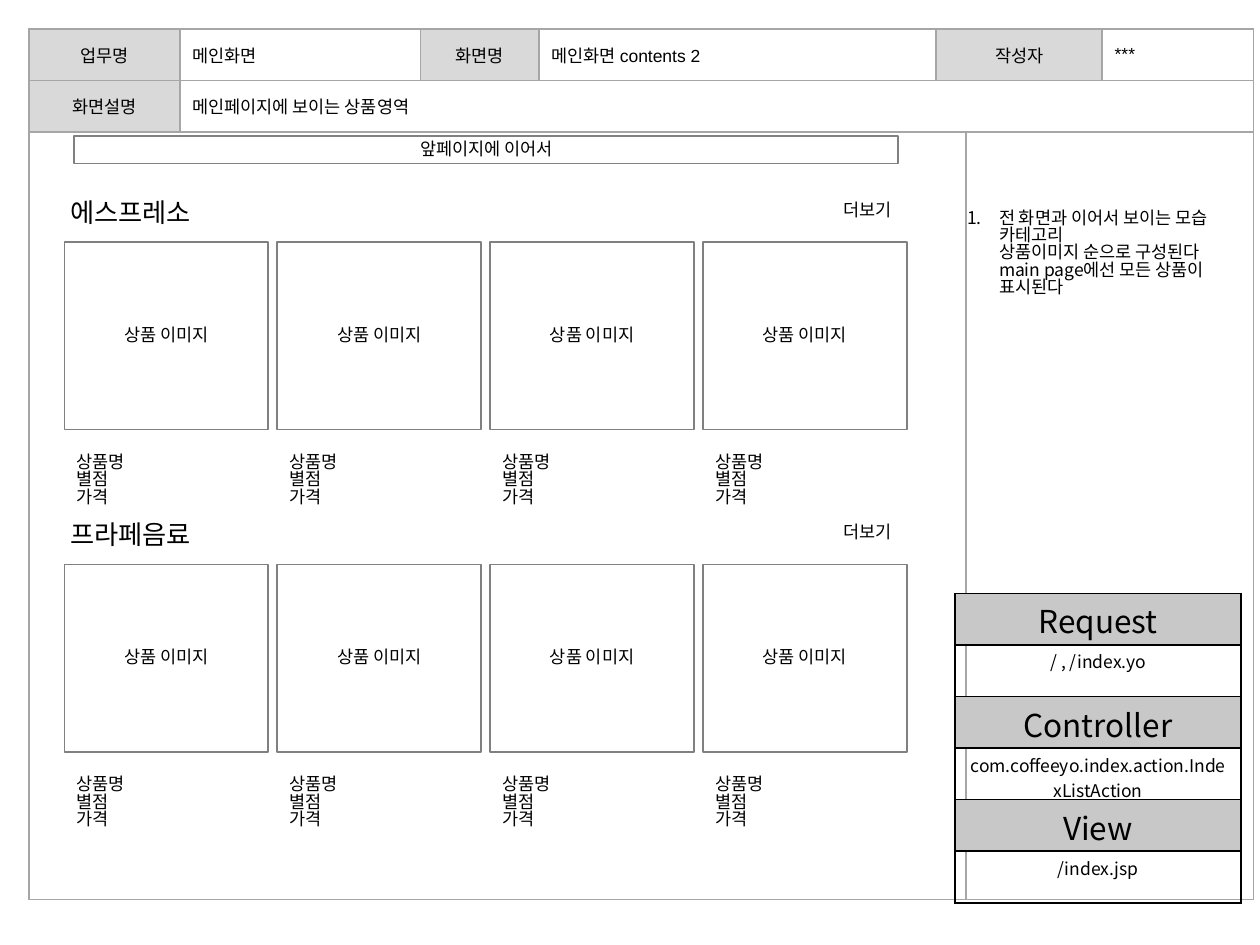
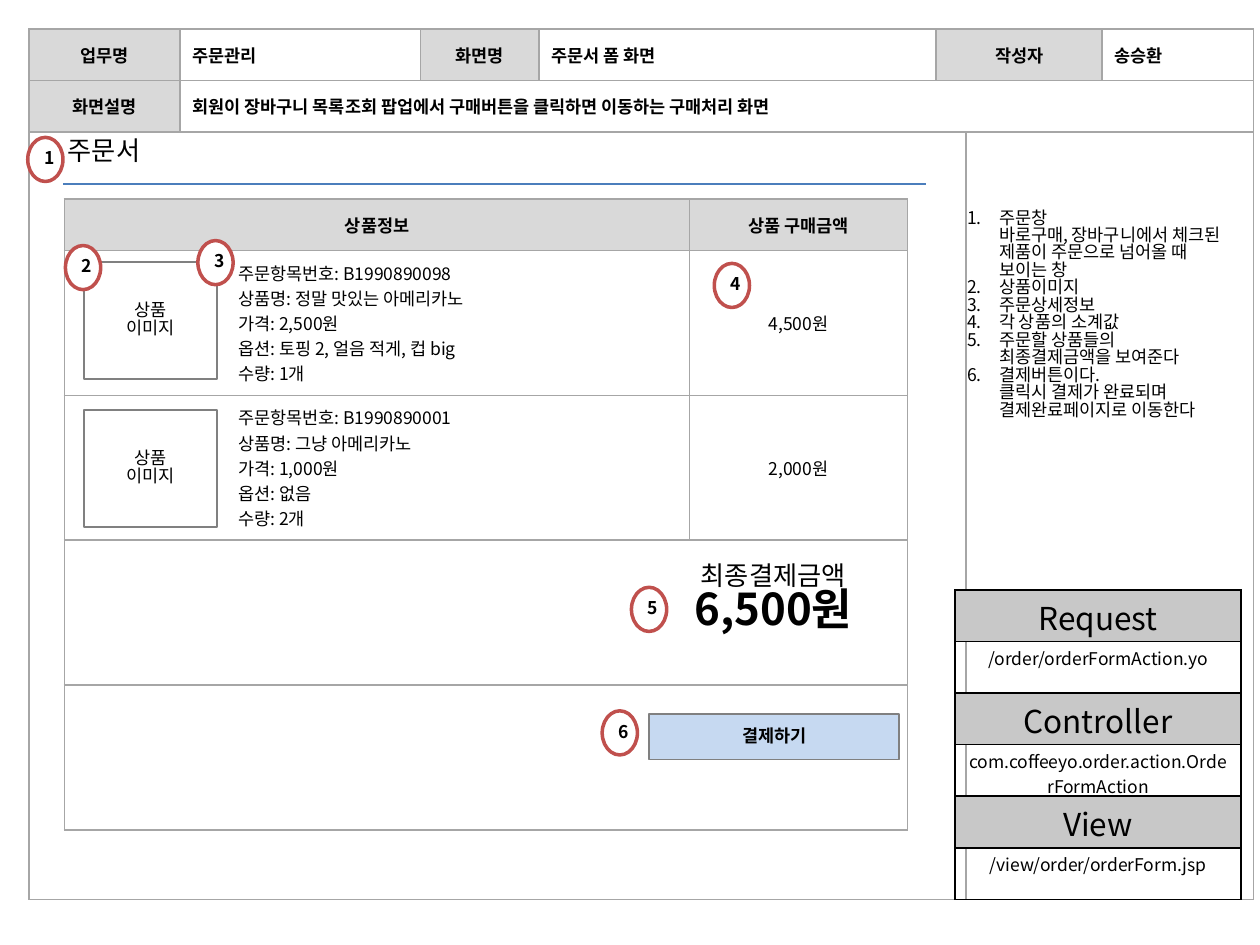
from dataclasses import dataclass
from typing import NamedTuple

from lxml.etree import SubElement
from pptx import Presentation
from pptx.dml.color import RGBColor
from pptx.enum.shapes import MSO_CONNECTOR, MSO_SHAPE
from pptx.enum.text import MSO_ANCHOR, PP_ALIGN
from pptx.oxml.ns import qn
from pptx.util import Cm, Pt

COLORS = {
    "text": "000000",
    "white": "FFFFFF",
    "label": "D9D9D9",
    "grid": "A6A6A6",
    "outline": "808080",
    "route": "C8C8C8",
    "button": "C6D9F1",
    "rule": "4B7EBC",
    "badge": "C0504D",
}
SANS = "Noto Sans CJK KR"
LINE_SPACING = 0.83
CONTENT_LEFT = 1.3
SIDE_LEFT = 19.25
SIDE_WIDTH = 5.77
HEAD_HEIGHT = 1.04


class Area(NamedTuple):
    left: float
    top: float
    width: float
    height: float

    def lengths(self):
        return [Cm(v) for v in self]


@dataclass(frozen=True)
class Style:
    size: float = 10
    bold: bool = False
    font: str = SANS
    align: PP_ALIGN = PP_ALIGN.LEFT
    indent: float = 0
    hanging: float = 0
    numbered: bool = False
    spacing: float = 1.0


@dataclass(frozen=True)
class Screen:
    task: str
    name: str
    author: str
    description: str
    remarks: tuple[str, ...]
    remarks_height: float
    routes: tuple[str, str, str]
    routes_top: float
    bold: bool = False


class Section(NamedTuple):
    title: str
    top: float


class OrderItem(NamedTuple):
    details: tuple[str, ...]
    price: str
    image_top: float


class Badge(NamedTuple):
    label: str
    left: float
    top: float


BODY = Style(spacing=LINE_SPACING)
CENTERED = Style(align=PP_ALIGN.CENTER, spacing=LINE_SPACING)
STRONG = Style(bold=True, align=PP_ALIGN.CENTER, spacing=LINE_SPACING)
HEADING = Style(size=15, spacing=LINE_SPACING)
REMARK = Style(indent=0.64, hanging=-0.64, numbered=True, spacing=LINE_SPACING)

MAIN_SCREEN = Screen(
    "메인화면", "메인화면 contents 2", "***", "메인페이지에 보이는 상품영역",
    ("전 화면과 이어서 보이는 모습\n카테고리\n상품이미지 순으로 구성된다\n"
     "main page에선 모든 상품이 표시된다",),
    2.82,
    ("/ , /index.yo", "com.coffeeyo.index.action.IndexListAction", "/index.jsp"),
    11.96,
)
ORDER_SCREEN = Screen(
    "주문관리", "주문서 폼 화면", "송승환",
    "회원이 장바구니 목록조회 팝업에서 구매버튼을 클릭하면 이동하는 구매처리 화면",
    ("주문창\n바로구매, 장바구니에서 체크된 제품이 주문으로 넘어올 때 보이는 창",
     "상품이미지", "주문상세정보", "각 상품의 소계값",
     "주문할 상품들의 최종결제금액을 보여준다",
     "결제버튼이다.\n클릭시 결제가 완료되며 결제완료페이지로 이동한다"),
    5.74,
    ("/order/orderFormAction.yo", "com.coffeeyo.order.action.OrderFormAction",
     "/view/order/orderForm.jsp"),
    11.89, bold=True,
)
SECTIONS = (Section("에스프레소", 4.88), Section("프라페음료", 11.38))
ITEMS = (
    OrderItem(("주문항목번호: B1990890098", "상품명: 정말 맛있는 아메리카노", "가격: 2,500원",
               "옵션: 토핑 2, 얼음 적게, 컵 big", "수량: 1개"), "4,500원", 5.28),
    OrderItem(("주문항목번호: B1990890001", "상품명: 그냥 아메리카노", "가격: 1,000원",
               "옵션: 없음", "수량: 2개"), "2,000원", 8.26),
)
BADGES = (
    Badge("1", 0.56, 2.77), Badge("2", 1.32, 4.95), Badge("3", 3.99, 4.85),
    Badge("4", 14.4, 5.31), Badge("5", 12.73, 11.84), Badge("6", 12.14, 14.33),
)


def rgb(name: str) -> RGBColor:
    return RGBColor.from_string(COLORS[name])


def add_run(p, text: str, style: Style) -> None:
    r = p.add_run()
    r.text = text
    r.font.size = Pt(style.size)
    r.font.bold = style.bold
    r.font.name = style.font
    r.font.color.rgb = rgb("text")
    SubElement(r._r.get_or_add_rPr(), qn("a:ea"), typeface=SANS)


def write(tf, lines: tuple[str, ...], *styles: Style) -> None:
    for i, line in enumerate(lines):
        style = styles[min(i, len(styles) - 1)]
        p = tf.paragraphs[0] if i == 0 else tf.add_paragraph()
        p.alignment = style.align
        p.line_spacing = style.spacing
        pPr = p._p.get_or_add_pPr()
        pPr.set("marL", str(Cm(style.indent)))
        pPr.set("indent", str(Cm(style.hanging)))
        if style.numbered:
            SubElement(pPr, qn("a:buFont"), typeface="+mj-lt")
            SubElement(pPr, qn("a:buAutoNum"), type="arabicPeriod")
        for j, part in enumerate(line.split("\n")):
            if j:
                p.add_line_break()
            add_run(p, part, style)


def add_text(s, area: Area, lines: tuple[str, ...], *styles: Style, wrap: bool = False) -> None:
    tf = s.shapes.add_textbox(*area.lengths()).text_frame
    tf.word_wrap = wrap
    write(tf, lines, *styles)


def add_box(s, area: Area, lines: tuple[str, ...], style: Style = CENTERED,
            fill: str = "white", line: str | None = "outline", weight: float = 1,
            kind: MSO_SHAPE = MSO_SHAPE.RECTANGLE):
    sp = s.shapes.add_shape(kind, *area.lengths())
    sp.shadow.inherit = False
    sp.fill.solid()
    sp.fill.fore_color.rgb = rgb(fill)
    if line:
        sp.line.color.rgb = rgb(line)
        sp.line.width = Pt(weight)
    else:
        sp.line.fill.background()
    sp.text_frame.vertical_anchor = MSO_ANCHOR.MIDDLE
    write(sp.text_frame, lines, style)
    return sp


def add_badge(s, badge: Badge) -> None:
    sp = add_box(s, Area(badge.left, badge.top, 0.71, 0.89), (badge.label,), STRONG,
                 line="badge", weight=2, kind=MSO_SHAPE.OVAL)
    tf = sp.text_frame
    tf.word_wrap = False
    tf.margin_left, tf.margin_right = Cm(0.16), Cm(0)
    tf.margin_top = tf.margin_bottom = Cm(0)


def add_grid(s, left: float, top: float, cols: list[float], rows: list[float], border: str):
    area = Area(left, top, sum(cols), sum(rows))
    tbl = s.shapes.add_table(len(rows), len(cols), *area.lengths()).table
    tbl.first_row = tbl.horz_banding = False
    for col, width in zip(tbl.columns, cols):
        col.width = Cm(width)
    for row, height in zip(tbl.rows, rows):
        row.height = Cm(height)
    for cell in tbl.iter_cells():
        cell.fill.background()
        tcPr = cell._tc.get_or_add_tcPr()
        for i, side in enumerate(("lnL", "lnR", "lnT", "lnB")):
            ln = SubElement(tcPr, qn(f"a:{side}"), w=str(Pt(1)))
            SubElement(SubElement(ln, qn("a:solidFill")), qn("a:srgbClr"), val=COLORS[border])
            tcPr.insert(i, ln)
    return tbl


def fill_cell(cell, lines: tuple[str, ...], style: Style, fill: str | None = None,
              anchor: MSO_ANCHOR = MSO_ANCHOR.MIDDLE) -> None:
    if fill:
        cell.fill.solid()
        cell.fill.fore_color.rgb = rgb(fill)
    cell.vertical_anchor = anchor
    write(cell.text_frame, lines, style)


def add_frame(s, screen: Screen) -> None:
    tbl = add_grid(s, 0.58, 0.58, [3.05, 4.85, 2.39, 8.0, 0.33, 2.74, 3.05],
                   [HEAD_HEIGHT, HEAD_HEIGHT, 15.47], "grid")
    for row, first, last in ((0, 4, 5), (1, 1, 6), (2, 0, 4), (2, 5, 6)):
        tbl.cell(row, first).merge(tbl.cell(row, last))
    label = Style(font="Arial", bold=screen.bold, align=PP_ALIGN.CENTER)
    value = Style(font="Arial", bold=screen.bold)
    fields = ((0, 0, 1, "업무명", screen.task), (0, 2, 3, "화면명", screen.name),
              (0, 4, 6, "작성자", screen.author), (1, 0, 1, "화면설명", screen.description))
    for row, label_col, value_col, caption, text in fields:
        fill_cell(tbl.cell(row, label_col), (caption,), label, "label")
        fill_cell(tbl.cell(row, value_col), (text,), value)
    for col in (0, 5):
        fill_cell(tbl.cell(2, col), (), value, "white")


def add_side(s, screen: Screen) -> None:
    add_text(s, Area(SIDE_LEFT, 4.11, SIDE_WIDTH, screen.remarks_height),
             screen.remarks, REMARK, wrap=True)
    tbl = add_grid(s, SIDE_LEFT, screen.routes_top, [SIDE_WIDTH], [HEAD_HEIGHT] * 6, "text")
    for i, (title, route) in enumerate(zip(("Request", "Controller", "View"), screen.routes)):
        fill_cell(tbl.cell(2 * i, 0), (title,), Style(size=18, align=PP_ALIGN.CENTER),
                  "route", MSO_ANCHOR.TOP)
        fill_cell(tbl.cell(2 * i + 1, 0), (route,), Style(align=PP_ALIGN.CENTER),
                  anchor=MSO_ANCHOR.TOP)
    for cell in tbl.iter_cells():
        cell.margin_top, cell.margin_bottom = Cm(0.08), Cm(0)


def add_section(s, section: Section) -> None:
    add_text(s, Area(1.17, section.top - 0.95, 3.18, 0.88), (section.title,), HEADING)
    add_text(s, Area(16.76, section.top - 0.93, 1.57, 0.69), ("더보기",), BODY)
    for i in range(4):
        left = CONTENT_LEFT + i * 4.29
        add_box(s, Area(left, section.top, 4.11, 3.78), ("상품 이미지",))
        add_box(s, Area(left, section.top + 3.94, 4.11, 1.73),
                ("상품명", "별점", "가격"), BODY, line=None)


def add_order_table(s) -> None:
    tbl = add_grid(s, CONTENT_LEFT, 4.01, [12.6, 4.39], [HEAD_HEIGHT] + [2.92] * 4, "grid")
    for col, title in enumerate(("상품정보", "상품 구매금액")):
        fill_cell(tbl.cell(0, col), (title,), Style(bold=True, align=PP_ALIGN.CENTER), "label")
    for row, item in enumerate(ITEMS, 1):
        fill_cell(tbl.cell(row, 0), item.details, Style(indent=3.25), "white")
        fill_cell(tbl.cell(row, 1), (item.price,), Style(align=PP_ALIGN.CENTER), "white")
        add_box(s, Area(1.7, item.image_top, 2.67, 2.36), ("상품", "이미지"))
    for row in (3, 4):
        tbl.cell(row, 0).merge(tbl.cell(row, 1))
        fill_cell(tbl.cell(row, 0), (), BODY, "white")


def add_rule(s) -> None:
    line = s.shapes.add_connector(MSO_CONNECTOR.STRAIGHT, Cm(1.27), Cm(3.71), Cm(18.67), Cm(3.71))
    line.line.color.rgb = rgb("rule")
    line.line.width = Pt(0.75)
    SubElement(line._element.spPr, qn("a:effectLst"))


def build_main(s) -> None:
    add_box(s, Area(1.5, 2.74, 16.61, 0.56), ("앞페이지에 이어서",))
    for section in SECTIONS:
        add_section(s, section)


def build_order(s) -> None:
    add_text(s, Area(1.12, 2.69, 2.11, 0.88), ("주문서",), HEADING)
    add_rule(s)
    add_order_table(s)
    add_text(s, Area(13.28, 11.25, 4.62, 1.93), ("최종결제금액", "6,500원"),
             Style(size=15, align=PP_ALIGN.CENTER, spacing=LINE_SPACING),
             Style(size=25, bold=True, align=PP_ALIGN.CENTER, spacing=LINE_SPACING), wrap=True)
    add_box(s, Area(13.08, 14.4, 5.05, 0.91), ("결제하기",), STRONG, fill="button")
    for badge in BADGES:
        add_badge(s, badge)


def main() -> None:
    prs = Presentation()
    prs.slide_width, prs.slide_height = Cm(25.4), Cm(19.05)
    for screen, build in ((MAIN_SCREEN, build_main), (ORDER_SCREEN, build_order)):
        s = prs.slides.add_slide(prs.slide_layouts[6])
        add_frame(s, screen)
        build(s)
        add_side(s, screen)
    prs.save("out.pptx")


if __name__ == "__main__":
    main()
